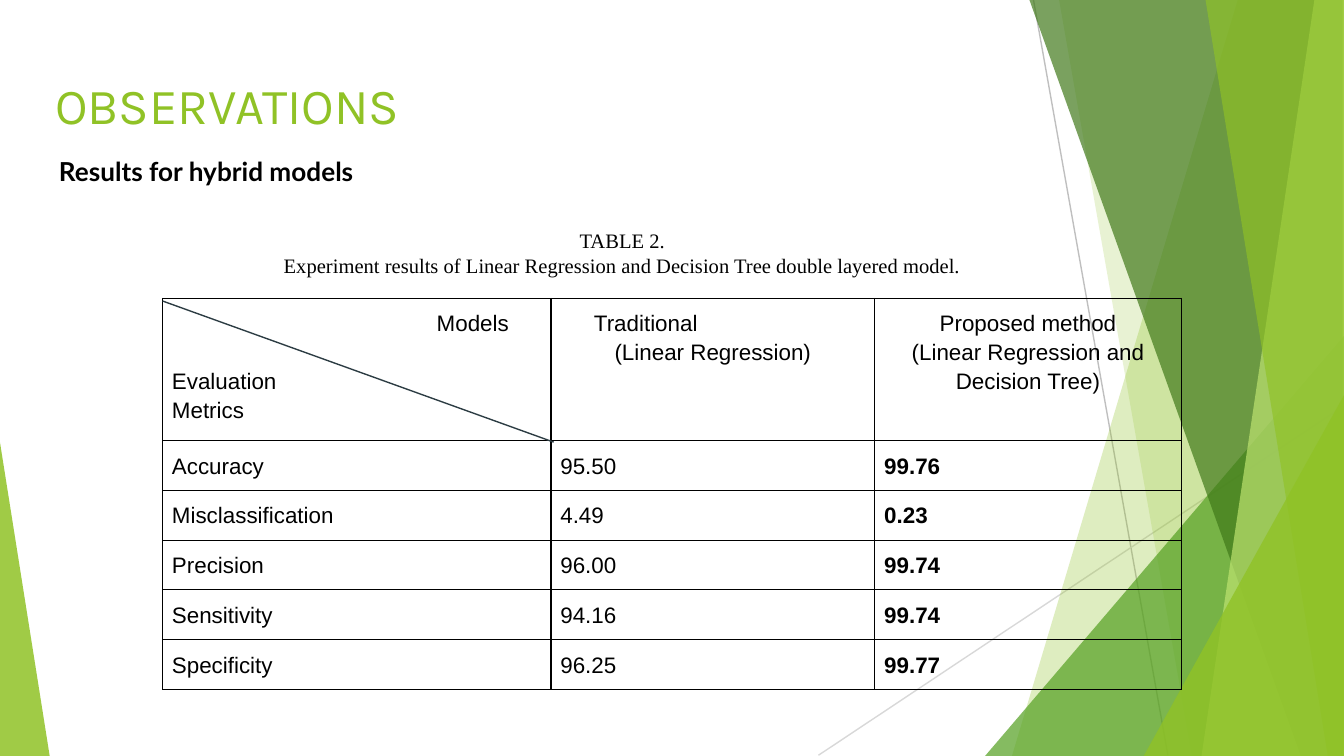
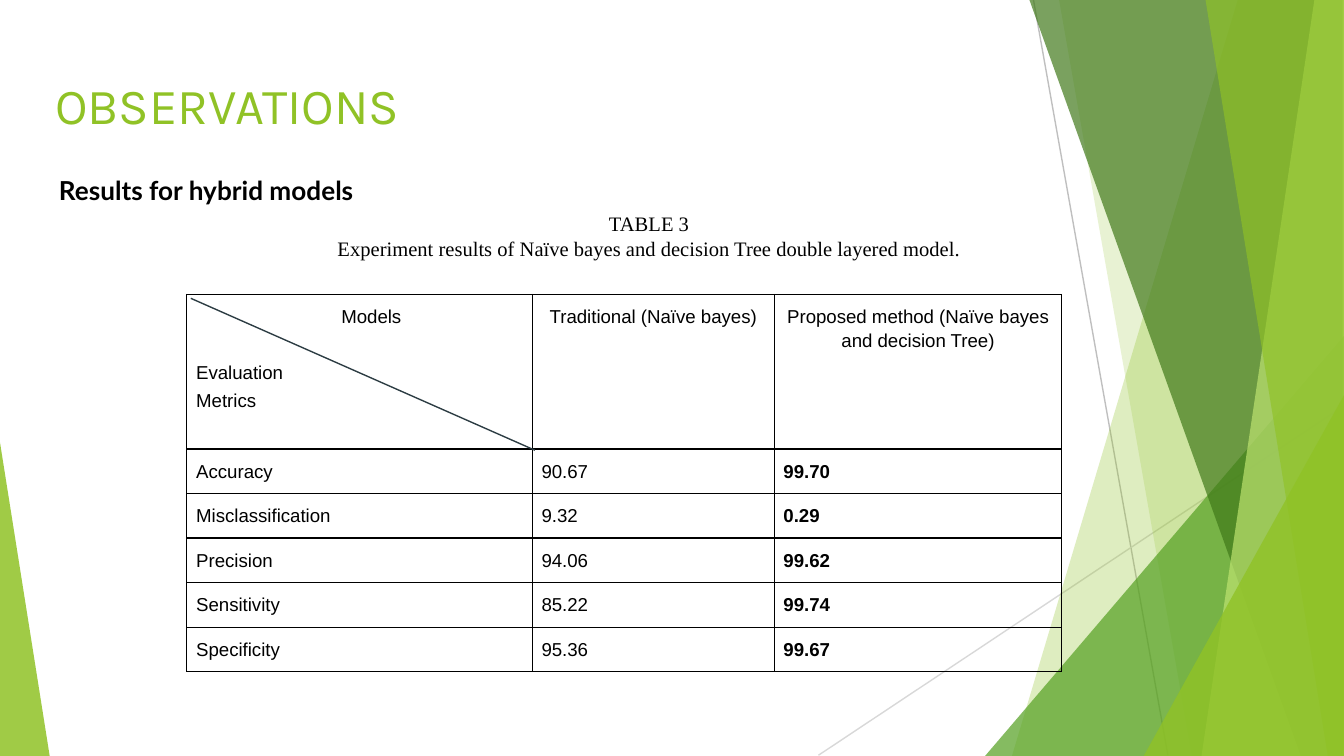
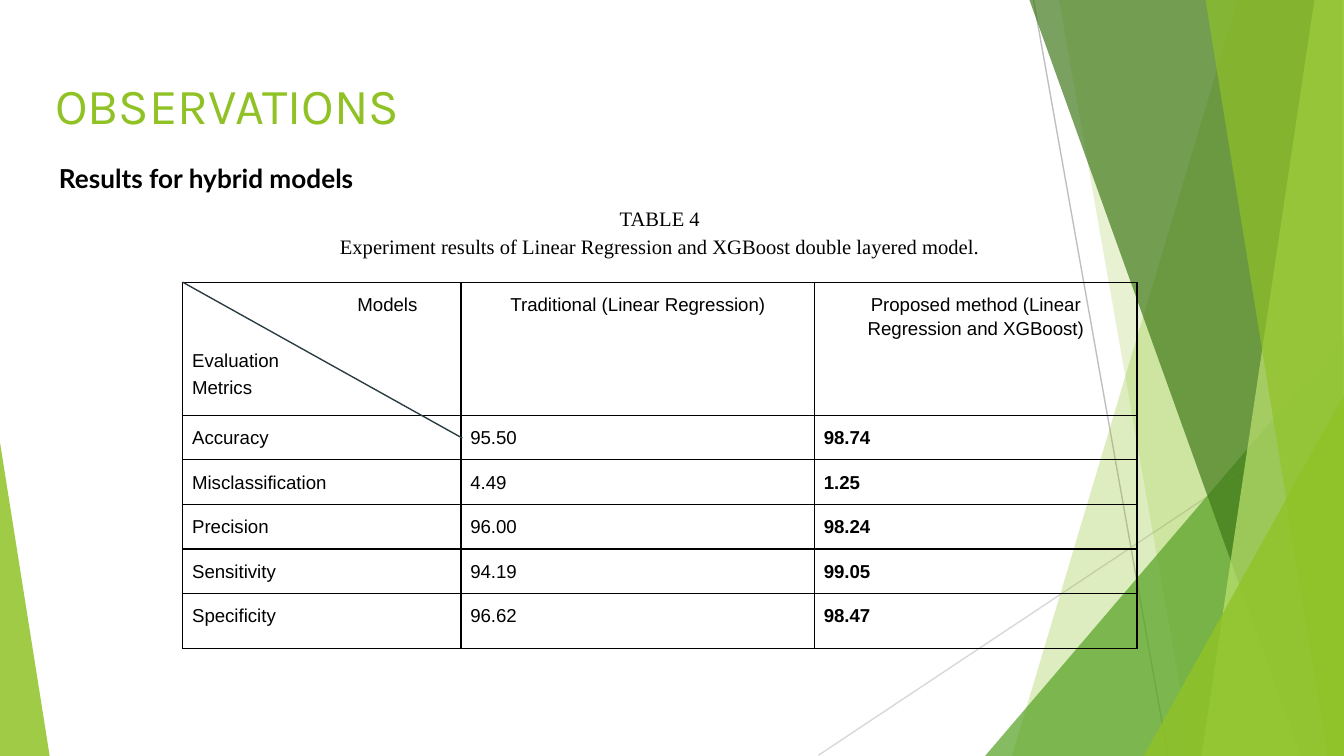
from dataclasses import dataclass
from typing import Any

from lxml import etree
from pptx import Presentation
from pptx.dml.color import RGBColor
from pptx.enum.shapes import MSO_CONNECTOR, MSO_SHAPE
from pptx.enum.text import MSO_ANCHOR, MSO_AUTO_SIZE, PP_ALIGN
from pptx.oxml.ns import qn
from pptx.util import Inches, Pt

LEFT, CENTER, JUSTIFY = PP_ALIGN.LEFT, PP_ALIGN.CENTER, PP_ALIGN.JUSTIFY
MIDDLE = MSO_ANCHOR.MIDDLE
GROW = MSO_AUTO_SIZE.SHAPE_TO_FIT_TEXT
STRAIGHT = MSO_CONNECTOR.STRAIGHT
TRIANGLE = MSO_SHAPE.ISOSCELES_TRIANGLE

WIDTH = Inches(10)
HEIGHT = WIDTH * 9 // 16
BLANK_LAYOUT = 6
LINE_WIDTH = Pt(0.75)

COLORS = {
    "green": "90C226",
    "leaf": "54A021",
    "forest": "3F7818",
    "lime": "BFE471",
    "gray": "BFBFBF",
    "light gray": "D8D8D8",
    "slate": "2C3C43",
    "black": "000000",
}
TITLE_FONT = {"name": "Karla", "size": Pt(27), "bold": False}
SUBTITLE_FONT = {"name": "Lato", "size": Pt(14), "bold": True}
CAPTION_FONT = {"name": "Times New Roman", "size": Pt(11), "bold": False}
MARGINS = ("margin_left", "margin_top", "margin_right", "margin_bottom")
TITLE_FRAME = dict(zip(MARGINS, map(Inches, (0.07, 0.04, 0.07, 0.04))),
                   word_wrap=True, vertical_anchor=MIDDLE)
TEXT_FRAME = dict.fromkeys(MARGINS, Inches(0.1)) | {"word_wrap": True, "auto_size": GROW}
CELL_FORMAT = dict.fromkeys(MARGINS, Inches(0.07))

METRICS = ("Accuracy", "Misclassification", "Precision", "Sensitivity", "Specificity")


@dataclass(frozen=True)
class Beam:
    """A four-sided band running from the top edge to the bottom edge."""
    top: tuple[float, float]
    bottom: tuple[float, float]
    color: str
    opacity: int


@dataclass(frozen=True)
class Wedge:
    """A right triangle standing on the bottom edge; tip is 0 (left) or 1 (right)."""
    left: float
    top: float
    width: float
    tip: int
    color: str
    opacity: int


@dataclass(frozen=True)
class Line:
    start: tuple[float, float]
    end: tuple[float, float]
    color: str


@dataclass(frozen=True)
class Para:
    text: str
    align: Any = LEFT
    before: float = 0
    after: float = 0
    indent: float = 0
    spacing: float = 1.0


@dataclass(frozen=True)
class Results:
    subtitle_top: float
    caption_at: tuple[float, float, float, float]
    caption: list[Para]
    table_at: tuple[float, float]
    columns: list[float]
    rows: list[float]
    size: int
    align: Any
    headers: list[list[Para]]
    traditional: list[str]
    proposed: list[str]
    diagonal: Line


BACKDROP_LINES = [
    Line((7.69, 0), (8.69, 5.62), "gray"),
    Line((10, 3.02), (6.09, 5.62), "light gray"),
]
BACKDROP = [
    Beam((9.21, 10), (7.53, 10), "green", 29),
    Beam((7.88, 10), (8.87, 10), "green", 20),
    Wedge(7.33, 2.5, 2.67, 1, "leaf", 71),
    Beam((7.66, 9.99), (9.68, 9.99), "forest", 69),
    Beam((9.78, 10), (8.94, 10), "lime", 69),
    Beam((8.97, 10), (9.88, 10), "green", 65),
    Wedge(8.51, 2.94, 1.49, 1, "green", 80),
    Wedge(0, 3.29, 0.37, 0, "green", 85),
]


def cell_para(text: str, align: Any = LEFT, **options: float) -> Para:
    return Para(text, align, spacing=1.15, **options)


def corner_header(indent: float, gap: float, before: float = 0, after: float = 0,
                  last_align: Any = LEFT) -> list[Para]:
    """Text of the split corner cell: column label above, row label below."""
    return [cell_para("Models", indent=indent),
            cell_para("Evaluation", JUSTIFY, before=gap),
            cell_para("Metrics", last_align, before=before, after=after)]


def model_header(text: str) -> list[Para]:
    return [cell_para(text, CENTER, after=12)]


RESULTS = [
    Results(
        subtitle_top=1.06,
        caption_at=(1.21, 1.6, 6.84, 0.57),
        caption=[
            Para("TABLE 2.", CENTER),
            Para("Experiment results of Linear Regression and Decision Tree "
                 "double layered model.", CENTER)],
        table_at=(1.21, 2.22),
        columns=[2.89, 2.41, 2.28],
        rows=[1.06] + [0.37] * 5,
        size=12,
        align=JUSTIFY,
        headers=[
            corner_header(1.97, 15.5, last_align=JUSTIFY),
            [cell_para("Traditional", indent=0.25),
             cell_para("(Linear Regression)", CENTER)],
            [cell_para("Proposed method", CENTER),
             cell_para("(Linear Regression and Decision Tree)", CENTER)]],
        traditional=["95.50", "4.49", "96.00", "94.16", "96.25"],
        proposed=["99.76", "0.23", "99.74", "99.74", "99.77"],
        diagonal=Line((1.21, 2.24), (4.12, 3.29), "slate"),
    ),
    Results(
        subtitle_top=1.2,
        caption_at=(1.06, 1.47, 7.54, 0.57),
        caption=[
            Para("TABLE 3", CENTER),
            Para("Experiment results of Naïve bayes and decision Tree "
                 "double layered model.", CENTER)],
        table_at=(1.39, 2.19),
        columns=[2.57, 1.8, 2.14],
        rows=[1.15] + [0.33] * 5,
        size=10,
        align=LEFT,
        headers=[
            corner_header(1.08, 17, before=2, after=12),
            model_header("Traditional (Naïve bayes)"),
            model_header("Proposed method (Naïve bayes and decision Tree)")],
        traditional=["90.67", "9.32", "94.06", "85.22", "95.36"],
        proposed=["99.70", "0.29", "99.62", "99.74", "99.67"],
        diagonal=Line((3.98, 3.35), (1.42, 2.22), "slate"),
    ),
    Results(
        subtitle_top=1.11,
        caption_at=(0.78, 1.43, 8.26, 0.79),
        caption=[
            Para("TABLE 4", CENTER, before=12),
            Para("Experiment results of Linear Regression and XGBoost "
                 "double layered model.", CENTER, before=2)],
        table_at=(1.36, 2.1),
        columns=[2.07, 2.63, 2.4],
        rows=[0.99] + [0.33] * 4 + [0.41],
        size=10,
        align=LEFT,
        headers=[
            corner_header(1.23, 17, before=2, after=12),
            model_header("Traditional (Linear Regression)"),
            model_header("Proposed method (Linear Regression and XGBoost)")],
        traditional=["95.50", "4.49", "96.00", "94.19", "96.62"],
        proposed=["98.74", "1.25", "98.24", "99.05", "98.47"],
        diagonal=Line((3.44, 3.26), (1.36, 2.1), "slate"),
    ),
]


def rgb(color: str) -> RGBColor:
    return RGBColor.from_string(COLORS[color])


def apply_format(target: Any, values: dict[str, Any]) -> None:
    for name, value in values.items():
        setattr(target, name, value)


def write_paras(frame: Any, paras: list[Para], font: dict[str, Any],
                color: str = "black") -> None:
    for index, item in enumerate(paras):
        para = frame.add_paragraph() if index else frame.paragraphs[0]
        apply_format(para, {
            "alignment": item.align,
            "line_spacing": item.spacing,
            "space_before": Pt(item.before),
            "space_after": Pt(item.after),
        })
        if item.indent:
            properties = para._p.get_or_add_pPr()
            properties.set("marL", str(Inches(item.indent)))
            properties.set("indent", "0")
        span = para.add_run()
        span.text = item.text
        apply_format(span.font, font)
        span.font.color.rgb = rgb(color)


def add_text(slide: Any, at: tuple[float, float, float, float], paras: list[Para],
             font: dict[str, Any], frame_format: dict[str, Any],
             color: str = "black") -> None:
    box = slide.shapes.add_textbox(*map(Inches, at))
    apply_format(box.text_frame, frame_format)
    write_paras(box.text_frame, paras, font, color)


def add_line(slide: Any, line: Line) -> None:
    connector = slide.shapes.add_connector(STRAIGHT, *map(Inches, line.start + line.end))
    connector.line.color.rgb = rgb(line.color)
    connector.line.width = LINE_WIDTH
    etree.SubElement(connector._element.spPr, qn("a:effectLst"))


def add_beam(slide: Any, beam: Beam) -> Any:
    top_left, top_right = map(Inches, beam.top)
    bottom_left, bottom_right = map(Inches, beam.bottom)
    builder = slide.shapes.build_freeform(top_left, 0)
    builder.add_line_segments(
        [(top_right, 0), (bottom_right, HEIGHT), (bottom_left, HEIGHT)])
    return builder.convert_to_shape()


def add_wedge(slide: Any, wedge: Wedge) -> Any:
    top = Inches(wedge.top)
    shape = slide.shapes.add_shape(
        TRIANGLE, Inches(wedge.left), top, Inches(wedge.width), HEIGHT - top)
    shape.adjustments[0] = wedge.tip
    return shape


def add_backdrop(slide: Any) -> None:
    for line in BACKDROP_LINES:
        add_line(slide, line)
    for item in BACKDROP:
        shape = add_beam(slide, item) if isinstance(item, Beam) else add_wedge(slide, item)
        shape.shadow.inherit = False
        shape.line.fill.background()
        shape.fill.solid()
        shape.fill.fore_color.rgb = rgb(item.color)
        color = shape._element.spPr.find(f"{qn('a:solidFill')}/{qn('a:srgbClr')}")
        etree.SubElement(color, qn("a:alpha"), val=str(item.opacity * 1000))


def set_borders(cell: Any) -> None:
    properties = cell._tc.get_or_add_tcPr()
    for index, side in enumerate(("lnL", "lnR", "lnT", "lnB")):
        border = etree.Element(qn(f"a:{side}"), w=str(LINE_WIDTH))
        fill = etree.SubElement(border, qn("a:solidFill"))
        etree.SubElement(fill, qn("a:srgbClr"), val=COLORS["black"])
        properties.insert(index, border)


def add_results_table(slide: Any, results: Results) -> None:
    body = [[[cell_para(text, results.align)] for text in row]
            for row in zip(METRICS, results.traditional, results.proposed)]
    contents = [results.headers] + body
    left, top = results.table_at
    table = slide.shapes.add_table(
        len(results.rows), len(results.columns), Inches(left), Inches(top),
        Inches(sum(results.columns)), Inches(sum(results.rows))).table
    apply_format(table, {"first_row": False, "horz_banding": False})
    for column, width in zip(table.columns, results.columns):
        column.width = Inches(width)
    for row, height in zip(table.rows, results.rows):
        row.height = Inches(height)
    for row_index, row in enumerate(contents):
        for column_index, paras in enumerate(row):
            cell = table.cell(row_index, column_index)
            apply_format(cell, CELL_FORMAT)
            cell.fill.background()
            set_borders(cell)
            is_proposed_value = row_index > 0 and column_index == 2
            font = {"name": "Arial", "size": Pt(results.size), "bold": is_proposed_value}
            write_paras(cell.text_frame, paras, font)


def add_results_slide(deck: Any, results: Results) -> None:
    slide = deck.slides.add_slide(deck.slide_layouts[BLANK_LAYOUT])
    add_backdrop(slide)
    add_text(slide, (0.34, 0.49, 9.32, 0.63), [Para("OBSERVATIONS", spacing=0.9)],
             TITLE_FONT, TITLE_FRAME, "green")
    add_text(slide, (0.34, results.subtitle_top, 8.1, 0.44),
             [Para("Results for hybrid models")], SUBTITLE_FONT, TEXT_FRAME)
    add_results_table(slide, results)
    add_line(slide, results.diagonal)
    add_text(slide, results.caption_at, results.caption, CAPTION_FONT, TEXT_FRAME)


def main() -> None:
    deck = Presentation()
    apply_format(deck, {"slide_width": WIDTH, "slide_height": HEIGHT})
    for results in RESULTS:
        add_results_slide(deck, results)
    deck.save("out.pptx")


if __name__ == "__main__":
    main()
